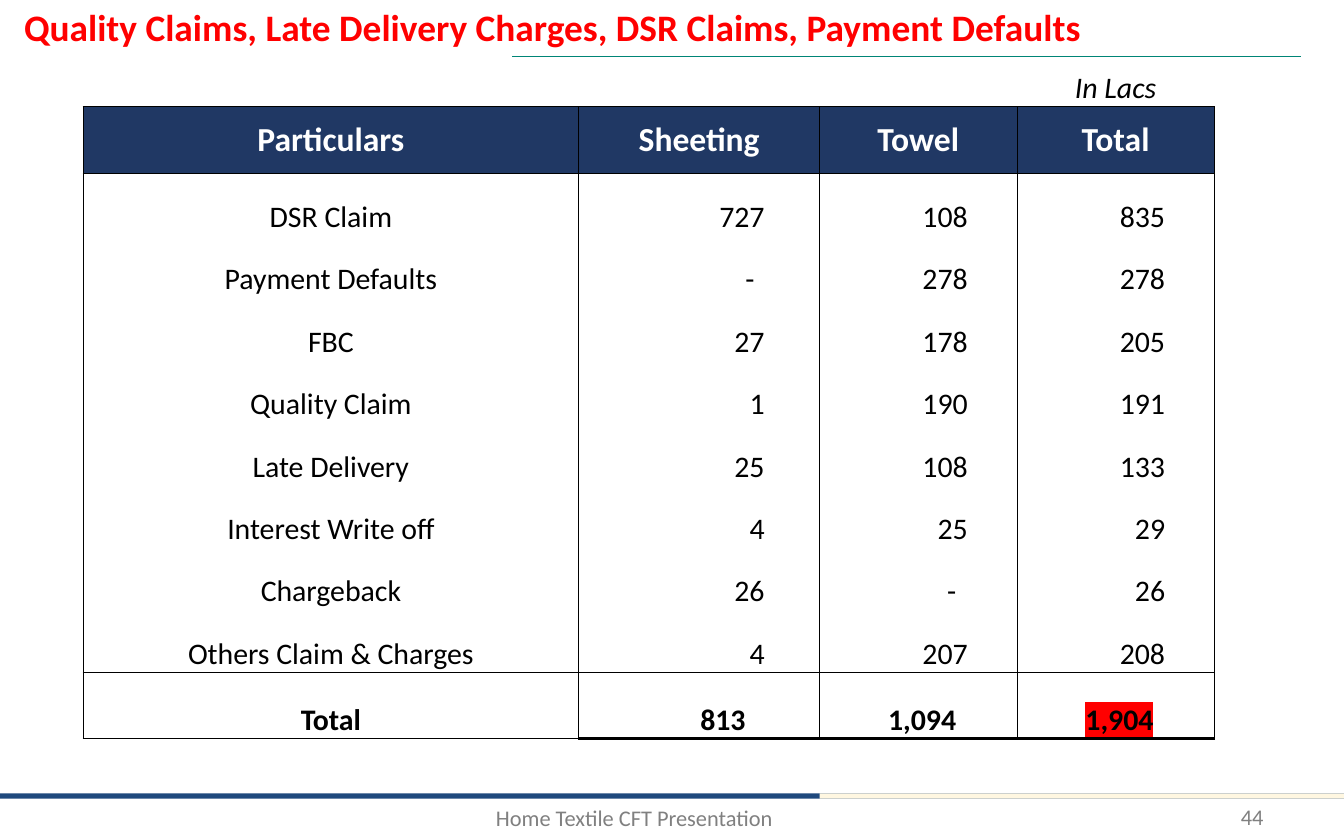
from dataclasses import dataclass

import pptx
import pptx.dml.color
import pptx.enum.shapes
import pptx.enum.text
import pptx.oxml.ns
import pptx.oxml.xmlchemy
import pptx.util
from lxml import etree
from pptx.dml.color import RGBColor
from pptx.enum.text import MSO_ANCHOR, PP_ALIGN
from pptx.util import Cm, Pt

FONT = "Calibri"
RED = RGBColor(0xFF, 0x00, 0x00)
BLACK = RGBColor(0x00, 0x00, 0x00)
WHITE = RGBColor(0xFF, 0xFF, 0xFF)
NAVY = RGBColor(0x20, 0x38, 0x64)
BLUE = RGBColor(0x1F, 0x49, 0x7D)
CREAM = RGBColor(0xFF, 0xF7, 0xE1)
TEAL = RGBColor(0x00, 0x85, 0x76)
GRAY = RGBColor(0x80, 0x80, 0x80)

THIN, THICK = 0.5, 2
COLUMN_WIDTHS = (9.37, 4.55, 3.73, 3.73)
BODY_HEIGHT, EMPHASIS_HEIGHT = 1.18, 1.25
VALUE_INDENTS = (0, 1.04, 0.93, 0.93)
DASH_INDENTS = (0, 1.23, 1.15, 1.15)
TOTAL_INDENTS = (0, 1.4, 1.15, 1.15)


@dataclass
class Band:
    left: float
    width: float
    color: RGBColor


@dataclass
class Label:
    text: str
    left: float
    top: float
    width: float
    height: float
    align: PP_ALIGN


@dataclass
class Row:
    texts: tuple[str, ...]
    kind: str = "body"


BANDS = (Band(0, 25.4, BLUE), Band(15.49, 9.91, CREAM))
LABELS = (
    Label("Home Textile CFT Presentation", 3.2, 15.11, 17.58, 0.8, PP_ALIGN.CENTER),
    Label("44", 18.21, 15.08, 5.92, 0.8, PP_ALIGN.RIGHT),
)
ROWS = (
    Row(("", "", "", "In Lacs"), "unit"),
    Row(("Particulars", "Sheeting", "Towel", "Total"), "header"),
    Row(("DSR Claim", "727", "108", "835")),
    Row(("Payment Defaults", "-", "278", "278")),
    Row(("FBC", "27", "178", "205")),
    Row(("Quality Claim", "1", "190", "191")),
    Row(("Late Delivery", "25", "108", "133")),
    Row(("Interest Write off", "4", "25", "29")),
    Row(("Chargeback", "26", "-", "26")),
    Row(("Others Claim & Charges", "4", "207", "208")),
    Row(("Total", "813", "1,094", "1,904"), "total"),
)


def style_text(paragraph, size: float, color: RGBColor, align: PP_ALIGN,
               bold: bool = False, italic: bool = False) -> None:
    paragraph.alignment = align
    for run in paragraph.runs:
        run.font.name = FONT
        run.font.size = Pt(size)
        run.font.color.rgb = color
        run.font.bold = bold
        run.font.italic = italic


def add_band(slide, band: Band) -> None:
    strip = slide.shapes.add_shape(
        pptx.enum.shapes.MSO_SHAPE.RECTANGLE,
        Cm(band.left), Cm(15), Cm(band.width), Cm(0.1))
    strip.shadow.inherit = False
    strip.fill.solid()
    strip.fill.fore_color.rgb = band.color
    strip.line.fill.background()


def add_label(slide, label: Label) -> None:
    box = slide.shapes.add_textbox(
        Cm(label.left), Cm(label.top), Cm(label.width), Cm(label.height))
    frame = box.text_frame
    frame.word_wrap = True
    frame.margin_top = frame.margin_bottom = Cm(0.1)
    frame.text = label.text
    style_text(frame.paragraphs[0], 12, GRAY, label.align)


def set_title(slide) -> None:
    title = slide.shapes.title
    title.left, title.top, title.width, title.height = Cm(0.2), Cm(-0.05), Cm(23.62), Cm(1.6)
    frame = title.text_frame
    frame.auto_size = pptx.enum.text.MSO_AUTO_SIZE.NONE
    frame.vertical_anchor = MSO_ANCHOR.TOP
    frame.text = "Quality Claims, Late Delivery Charges, DSR Claims, Payment Defaults"
    style_text(frame.paragraphs[0], 20, RED, PP_ALIGN.LEFT, bold=True)


def add_title_rule(slide) -> None:
    rule = slide.shapes.add_connector(
        pptx.enum.shapes.MSO_CONNECTOR.STRAIGHT, Cm(9.68), Cm(1.06), Cm(24.59), Cm(1.06))
    rule.line.color.rgb = TEAL
    rule.line.width = Pt(THIN)
    etree.SubElement(rule.element.spPr, pptx.oxml.ns.qn("a:effectLst"))


def set_borders(cell, widths: dict[str, float]) -> None:
    qn = pptx.oxml.ns.qn
    properties = cell._tc.get_or_add_tcPr()
    for side in "LRTB":
        edge = etree.SubElement(properties, qn(f"a:ln{side}"))
        if side in widths:
            edge.set("w", str(Pt(widths[side])))
            fill = etree.SubElement(edge, qn("a:solidFill"))
            etree.SubElement(fill, qn("a:srgbClr")).set("val", str(BLACK))
        else:
            etree.SubElement(edge, qn("a:noFill"))


def highlight(run, color: RGBColor) -> None:
    qn = pptx.oxml.ns.qn
    mark = etree.Element(qn("a:highlight"))
    etree.SubElement(mark, qn("a:srgbClr")).set("val", str(color))
    run.font._element.find(qn("a:solidFill")).addnext(mark)


def border_widths(row_index: int, column: int) -> dict[str, float]:
    kind = ROWS[row_index].kind
    if kind == "unit":
        return {"B": THIN}
    widths = {"L": THIN, "R": THIN}
    if kind != "body" or ROWS[row_index - 1].kind != "body":
        widths["T"] = THIN
    if kind != "body" or ROWS[row_index + 1].kind != "body":
        widths["B"] = THICK if kind == "total" and column else THIN
    return widths


def fill_cell(cell, row_index: int, column: int) -> None:
    row = ROWS[row_index]
    text = row.texts[column]
    header = row.kind == "header"
    numeric = column > 0 and row.kind in ("body", "total")
    set_borders(cell, border_widths(row_index, column))
    if header:
        cell.fill.solid()
        cell.fill.fore_color.rgb = NAVY
    else:
        cell.fill.background()
    cell.margin_left = cell.margin_right = cell.margin_top = Cm(0.02)
    cell.margin_bottom = Cm(0)
    if numeric:
        indents = TOTAL_INDENTS if row.kind == "total" else (
            DASH_INDENTS if text == "-" else VALUE_INDENTS)
        cell.margin_right = Cm(indents[column])
    cell.vertical_anchor = MSO_ANCHOR.MIDDLE if header else MSO_ANCHOR.BOTTOM
    cell.text_frame.text = text
    style_text(cell.text_frame.paragraphs[0], 18 if header else 16,
               WHITE if header else BLACK,
               PP_ALIGN.RIGHT if numeric else PP_ALIGN.CENTER,
               bold=row.kind in ("header", "total"), italic=row.kind == "unit")


def add_claims_table(slide) -> None:
    heights = [EMPHASIS_HEIGHT if row.kind in ("header", "total") else BODY_HEIGHT
               for row in ROWS]
    claims = slide.shapes.add_table(
        len(ROWS), len(COLUMN_WIDTHS), Cm(1.57), Cm(0.84),
        Cm(sum(COLUMN_WIDTHS)), Cm(sum(heights))).table
    claims.first_row = claims.horz_banding = False
    for column, width in enumerate(COLUMN_WIDTHS):
        claims.columns[column].width = Cm(width)
    for row_index, height in enumerate(heights):
        claims.rows[row_index].height = Cm(height)
        for column in range(len(COLUMN_WIDTHS)):
            fill_cell(claims.cell(row_index, column), row_index, column)
    grand_total = claims.cell(len(ROWS) - 1, len(COLUMN_WIDTHS) - 1)
    highlight(grand_total.text_frame.paragraphs[0].runs[0], RED)


def main() -> None:
    deck = pptx.Presentation()
    deck.slide_width, deck.slide_height = Cm(25.4), Cm(15.88)
    slide = deck.slides.add_slide(deck.slide_layouts[5])
    for band in BANDS:
        add_band(slide, band)
    for label in LABELS:
        add_label(slide, label)
    set_title(slide)
    add_title_rule(slide)
    add_claims_table(slide)
    deck.save("out.pptx")


if __name__ == "__main__":
    main()
